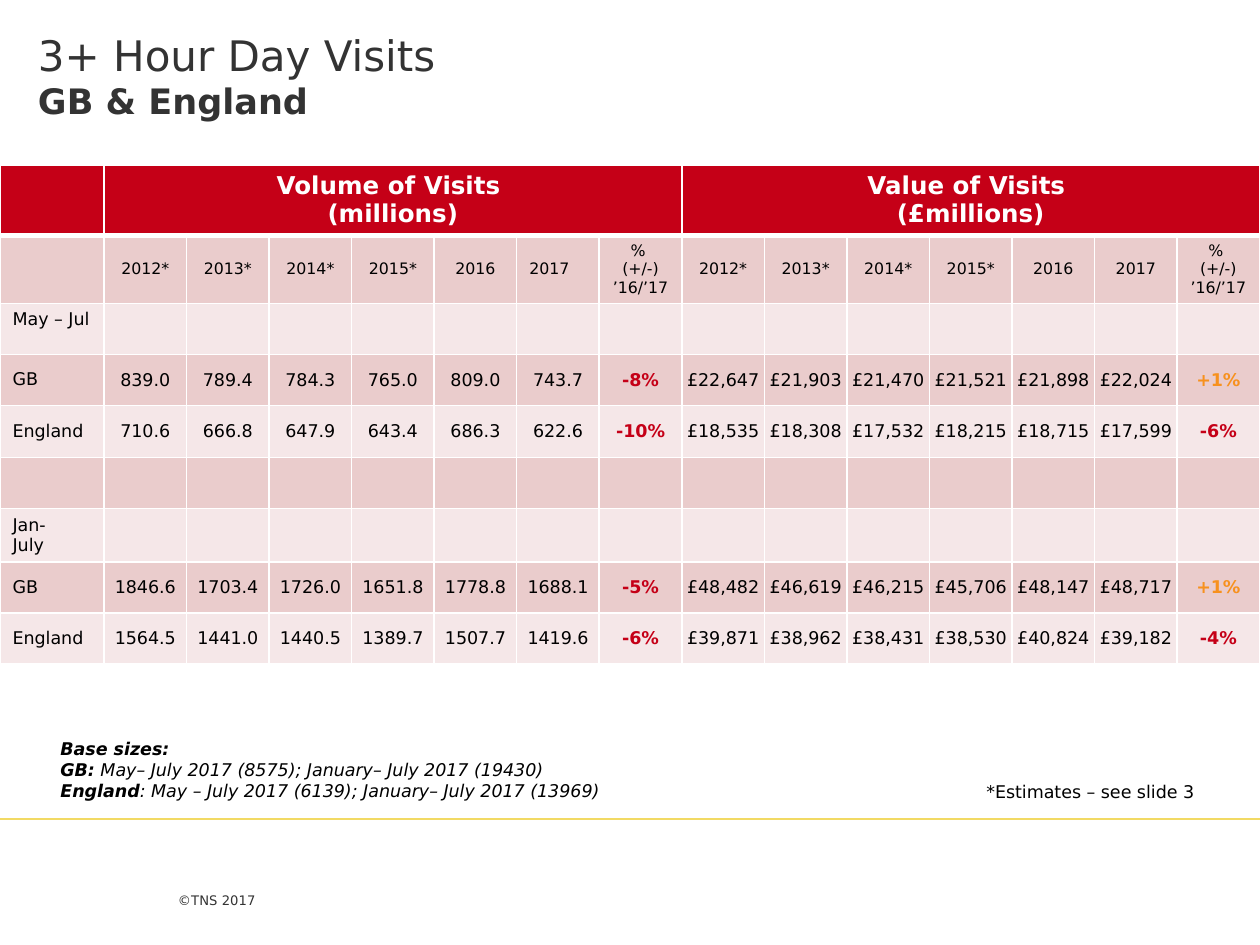
"""Builds the slide on 3+ hour day visits in GB and England."""
from lxml import etree
from pptx import Presentation
from pptx.dml.color import RGBColor
from pptx.enum.shapes import MSO_CONNECTOR
from pptx.enum.text import MSO_ANCHOR, MSO_AUTO_SIZE, PP_ALIGN
from pptx.oxml.ns import qn
from pptx.util import Pt

STRAIGHT = MSO_CONNECTOR.STRAIGHT
TOP, MIDDLE, BOTTOM = MSO_ANCHOR.TOP, MSO_ANCHOR.MIDDLE, MSO_ANCHOR.BOTTOM
LEFT, CENTER = PP_ALIGN.LEFT, PP_ALIGN.CENTER
NO_FIT = MSO_AUTO_SIZE.NONE

PX = 914400 // 126
WIDTH, HEIGHT = 1260, 945
FONT = "DejaVu Sans"
COLORS = {
    "text": "333333", "black": "000000", "white": "FFFFFF", "red": "C50017",
    "orange": "F7911E", "dark_band": "EACCCC", "light_band": "F5E7E8",
    "grey_rule": "262626", "gold_rule": "F2DA64",
}

TITLE = [[("3+ Hour Day Visits \v", 24, False), ("GB & England", 20, True)]]
GROUPS = ["Volume of Visits \n(millions)", "Value of Visits \n(£millions)"]
YEARS = ["2012*", "2013*", "2014*", "2015*", "2016", "2017", "% \n(+/-) ’16/’17"]
ROWS = [
    ("May – Jul", []),
    ("GB", ["839.0", "789.4", "784.3", "765.0", "809.0", "743.7", "-8%",
            "£22,647", "£21,903", "£21,470", "£21,521", "£21,898", "£22,024", "+1%"]),
    ("England", ["710.6", "666.8", "647.9", "643.4", "686.3", "622.6", "-10%",
                 "£18,535", "£18,308", "£17,532", "£18,215", "£18,715", "£17,599", "-6%"]),
    ("", []),
    ("Jan-\nJuly", []),
    ("GB", ["1846.6", "1703.4", "1726.0", "1651.8", "1778.8", "1688.1", "-5%",
            "£48,482", "£46,619", "£46,215", "£45,706", "£48,147", "£48,717", "+1%"]),
    ("England", ["1564.5", "1441.0", "1440.5", "1389.7", "1507.7", "1419.6", "-6%",
                 "£39,871", "£38,962", "£38,431", "£38,530", "£40,824", "£39,182", "-4%"]),
]
BASE_SIZES = [
    [("Base sizes: \vGB:", 10, True),
     (" May– July 2017 (8575); January– July 2017 (19430)", 10, False)],
    [("England", 10, True),
     (": May – July 2017 (6139); January– July 2017 (13969)", 10, False)],
]
ESTIMATES = [[("*Estimates – see slide 3", 10, False)]]
COPYRIGHT = [[("©TNS 2017", 7.5, False)]]
RULES = [(39, 1220, "grey_rule", 0.75), (0, WIDTH, "gold_rule", 1.5)]
RULE_TOP = 819

TABLE_TOP = 165
LABEL_WIDTH = 104
ROW_HEIGHTS = [70, 68, 51, 51, 52, 51, 53, 51, 51]


def color(name):
    return RGBColor.from_string(COLORS[name])


def format_font(font, size, color_name, bold=False, italic=False):
    font.name = FONT
    font.size = Pt(size)
    font.bold = bold
    font.italic = italic
    font.color.rgb = color(color_name)


def fill_text(shape, box, paragraphs, color_name, margins=None, anchor=TOP,
              wrap=True, italic=False):
    shape.left, shape.top, shape.width, shape.height = (value * PX for value in box)
    frame = shape.text_frame
    frame.auto_size = NO_FIT
    frame.word_wrap = wrap
    frame.vertical_anchor = anchor
    if margins:
        (frame.margin_left, frame.margin_top, frame.margin_right,
         frame.margin_bottom) = (value * PX for value in margins)
    frame.text = "\n".join("".join(part[0] for part in parts) for parts in paragraphs)
    for paragraph, parts in zip(frame.paragraphs, paragraphs):
        paragraph.alignment = LEFT
        paragraph.text = ""
        for text, size, bold in parts:
            for index, line in enumerate(text.split("\v")):
                if index:
                    paragraph.add_line_break()
                if line:
                    run = paragraph.add_run()
                    run.text = line
                    format_font(run.font, size, color_name, bold, italic)


def add_rule(slide, start, end, color_name, width):
    rule = slide.shapes.add_connector(
        STRAIGHT, start * PX, RULE_TOP * PX, end * PX, RULE_TOP * PX)
    rule.line.color.rgb = color(color_name)
    rule.line.width = Pt(width)
    etree.SubElement(rule._element.spPr, qn("a:effectLst"))


def style_cell(cell, fill, row):
    properties = cell._tc.get_or_add_tcPr()
    widths = {"lnL": 1, "lnR": 1, "lnT": 3 if row == 1 else 1, "lnB": 3 if row == 0 else 1}
    for side, width in widths.items():
        line = etree.SubElement(properties, qn(f"a:{side}"), w=str(Pt(width)))
        solid = etree.SubElement(line, qn("a:solidFill"))
        etree.SubElement(solid, qn("a:srgbClr"), val=COLORS["white"])
    cell.fill.solid()
    cell.fill.fore_color.rgb = color(fill)


def write_cell(cell, text, size, color_name="black", bold=False, align=CENTER, anchor=MIDDLE):
    cell.text = text
    cell.vertical_anchor = anchor
    for paragraph in cell.text_frame.paragraphs:
        paragraph.alignment = align
        for run in paragraph.runs:
            format_font(run.font, size, color_name, bold)


def write_value(cell, text):
    if text.endswith("%"):
        write_cell(cell, text, 10, "orange" if text.startswith("+") else "red", True)
    else:
        write_cell(cell, text, 10)
    cell.margin_left = cell.margin_top = cell.margin_right = PX
    cell.margin_bottom = 0


def add_visits_table(slide):
    span = len(YEARS)
    value_columns = span * len(GROUPS)
    table = slide.shapes.add_table(
        len(ROW_HEIGHTS), value_columns + 1, 0, TABLE_TOP * PX,
        WIDTH * PX, sum(ROW_HEIGHTS) * PX).table
    table.horz_banding = False
    for index, column in enumerate(table.columns):
        column.width = (WIDTH - LABEL_WIDTH) * PX // value_columns if index else LABEL_WIDTH * PX
    for index, (row, height) in enumerate(zip(table.rows, ROW_HEIGHTS)):
        row.height = height * PX
        fill = "red" if index == 0 else ("light_band", "dark_band")[index % 2]
        for cell in row.cells:
            style_cell(cell, fill, index)
    for group, heading in enumerate(GROUPS):
        first = 1 + group * span
        table.cell(0, first).merge(table.cell(0, first + span - 1))
        write_cell(table.cell(0, first), heading, 14, "white", True, anchor=TOP)
        for offset, year in enumerate(YEARS):
            align = LEFT if (group, year) == (0, "2017") else CENTER
            write_cell(table.cell(1, first + offset), year, 9, align=align)
    for index, (label, values) in enumerate(ROWS, start=2):
        if label:
            anchor = TOP if index == 2 else MIDDLE
            write_cell(table.cell(index, 0), label, 10, align=LEFT, anchor=anchor)
        for column, value in enumerate(values, start=1):
            write_value(table.cell(index, column), value)


def main():
    presentation = Presentation()
    presentation.slide_width, presentation.slide_height = WIDTH * PX, HEIGHT * PX
    slide = presentation.slides.add_slide(presentation.slide_layouts[5])
    shapes = slide.shapes
    fill_text(shapes.title, (0, 0, 699, 178), TITLE, "text", (38, 29, 38, 0))
    fill_text(shapes.add_textbox(0, 0, 0, 0), (178, 872, 105, 73), COPYRIGHT, "text",
              (0, 0, 0, 37), BOTTOM)
    for rule in RULES:
        add_rule(slide, *rule)
    add_visits_table(slide)
    fill_text(shapes.add_textbox(0, 0, 0, 0), (48, 732, 1063, 77), BASE_SIZES, "black",
              italic=True)
    fill_text(shapes.add_textbox(0, 0, 0, 0), (974, 775, 242, 34), ESTIMATES, "black",
              wrap=False)
    presentation.save("out.pptx")


if __name__ == "__main__":
    main()
